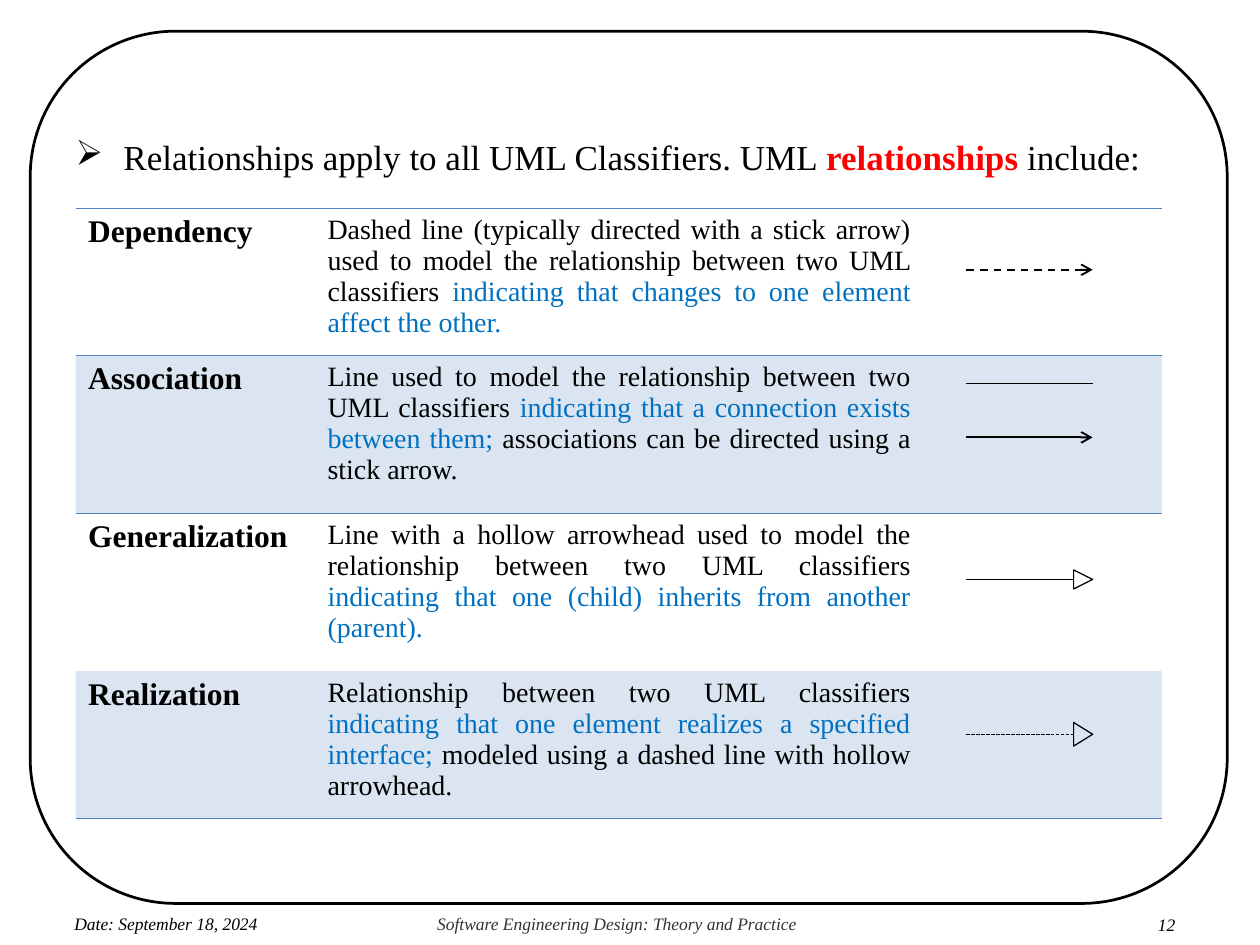
from dataclasses import dataclass
from typing import Optional

import lxml.etree
import pptx
import pptx.dml.color
import pptx.enum.dml
import pptx.enum.shapes
import pptx.enum.text
import pptx.oxml.ns
import pptx.util

FONT = "Times New Roman"
BLACK, RED, BLUE, STEEL, GREY = "000000", "FF0000", "0070C0", "4F81BD", "333333"
NO_STYLE = "{2D5ABB26-0587-4C30-8999-92F81FD0307C}"
DASH = pptx.enum.dml.MSO_LINE
ALIGN = pptx.enum.text.PP_ALIGN

# Percent of the slide's width and height
TABLE_LEFT, TABLE_TOP = 6, 22
COLUMN_WIDTHS = (19, 48.3, 18.9)
ROW_HEIGHTS = (15.6, 16.7, 16.7, 15.6)
# Shares of the symbol column
SYMBOL_START, HEAD_START, SYMBOL_END = 0.18, 0.63, 0.71


@dataclass
class Part:
    text: str
    color: str = BLACK
    bold: bool = False


@dataclass
class Symbol:
    height: float  # share of the row
    width: float = 0.71
    dash: Optional[DASH] = None
    stick_arrow: bool = False
    hollow_head: float = 0  # percent of the slide's height


@dataclass
class Relationship:
    name: str
    description: list[Part]
    symbols: list[Symbol]
    shaded: bool = False


@dataclass
class Footer:
    text: str
    left: float
    top: float
    width: float
    color: str = BLACK
    indent: float = 0


RELATIONSHIPS = [
    Relationship("Dependency", [
        Part("Dashed line (typically directed with a stick arrow) used to model "
             "the relationship between two UML classifiers "),
        Part("indicating that changes to one element affect the other.", BLUE)],
        [Symbol(0.42, 1.1, DASH.DASH, stick_arrow=True)]),
    Relationship("Association", [
        Part("Line used to model the relationship between two UML classifiers "),
        Part("indicating that a connection exists between them;", BLUE),
        Part(" associations can be directed using a stick arrow.")],
        [Symbol(0.18), Symbol(0.52, 1.1, stick_arrow=True)], shaded=True),
    Relationship("Generalization", [
        Part("Line with a hollow arrowhead used to model the relationship "
             "between two UML classifiers "),
        Part("indicating that one (child) inherits from another (parent).", BLUE)],
        [Symbol(0.42, hollow_head=2)]),
    Relationship("Realization", [
        Part("Relationship between two UML classifiers "),
        Part("indicating that one element realizes a specified interface; ", BLUE),
        Part("modeled using a dashed line with hollow arrowhead.")],
        [Symbol(0.43, dash=DASH.SQUARE_DOT, hollow_head=2.5)], shaded=True),
]

FOOTERS = [
    Footer("Date: September 18, 2024", 5.9, 96.7, 15.8),
    Footer("Software Engineering Design: Theory and Practice", 34.7, 96.7, 28.9, GREY),
    Footer("12", 90.8, 96.8, 3.7, indent=0.11),
]

presentation = pptx.Presentation()
presentation.slide_width = pptx.util.Inches(10)
presentation.slide_height = pptx.util.Inches(7.5)


def across(percent: float) -> int:
    return round(presentation.slide_width * percent / 100)


def down(percent: float) -> int:
    return round(presentation.slide_height * percent / 100)


def rgb(color: str) -> pptx.dml.color.RGBColor:
    return pptx.dml.color.RGBColor.from_string(color)


def add_element(parent, tag: str, **attributes: str):
    return lxml.etree.SubElement(parent, pptx.oxml.ns.qn(tag), attributes)


def set_line(line, width: float, dash: Optional[DASH] = None) -> None:
    line.color.rgb = rgb(BLACK)
    line.width = pptx.util.Pt(width)
    if dash is not None:
        line.dash_style = dash


def write(paragraph, parts: list[Part], size: float, italic: bool = False) -> None:
    paragraph.font.name = FONT
    paragraph.font.size = pptx.util.Pt(size)
    paragraph.font.italic = italic
    for part in parts:
        run = paragraph.add_run()
        run.text = part.text
        run.font.color.rgb = rgb(part.color)
        run.font.bold = part.bold


def add_text_box(slide, left: float, top: float, width: float, height: float):
    shape = slide.shapes.add_textbox(across(left), down(top), across(width), down(height))
    frame = shape.text_frame
    frame.word_wrap = True
    frame.margin_left = frame.margin_right = frame.margin_top = frame.margin_bottom = 0
    return frame


def add_outline(slide, preset, left: int, top: int, width: int, height: int, line_width: float):
    shape = slide.shapes.add_shape(preset, left, top, width, height)
    shape.shadow.inherit = False
    shape.fill.background()
    set_line(shape.line, line_width)
    return shape


def add_heading(slide) -> None:
    frame = add_text_box(slide, 5.9, 13.3, 86.3, 5.6)
    frame.margin_top = pptx.util.Inches(0.08)
    paragraph = frame.paragraphs[0]
    properties = paragraph._p.get_or_add_pPr()
    properties.set("marL", str(pptx.util.Inches(0.39)))
    properties.set("indent", str(pptx.util.Inches(-0.38)))
    add_element(add_element(properties, "a:buClr"), "a:srgbClr", val=BLACK)
    add_element(properties, "a:buChar", char="➢")
    paragraph.alignment = ALIGN.JUSTIFY
    write(paragraph, [Part("Relationships apply to all UML Classifiers. UML "),
                      Part("relationships", RED, True), Part(" include:")], 20)


def add_footer(slide, footer: Footer) -> None:
    paragraph = add_text_box(slide, footer.left, footer.top, footer.width, 2.1).paragraphs[0]
    paragraph._p.get_or_add_pPr().set("marL", str(pptx.util.Inches(footer.indent)))
    paragraph.line_spacing = pptx.util.Pt(11.8)
    write(paragraph, [Part(footer.text, footer.color)], 10, italic=True)


def format_cell(cell, shaded: bool, top_rule: bool, bottom_rule: bool) -> None:
    properties = cell._tc.get_or_add_tcPr()
    for tag, ruled in (("a:lnT", top_rule), ("a:lnB", bottom_rule)):
        if ruled:
            rule = add_element(properties, tag, w=str(pptx.util.Pt(0.45)))
            add_element(add_element(rule, "a:solidFill"), "a:srgbClr", val=STEEL)
    if shaded:
        cell.fill.solid()
        cell.fill.fore_color.rgb = rgb(STEEL)
        color = properties.find("a:solidFill/a:srgbClr", properties.nsmap)
        add_element(color, "a:alpha", val="20000")
    else:
        cell.fill.background()


def add_relationship_table(slide) -> None:
    frame = slide.shapes.add_table(
        len(RELATIONSHIPS), len(COLUMN_WIDTHS), across(TABLE_LEFT), down(TABLE_TOP),
        across(sum(COLUMN_WIDTHS)), down(sum(ROW_HEIGHTS)))
    table = frame.table
    table.first_row = table.horz_banding = False
    table._tbl.tblPr.find(pptx.oxml.ns.qn("a:tableStyleId")).text = NO_STYLE
    for column, width in zip(table.columns, COLUMN_WIDTHS):
        column.width = across(width)
    last = len(RELATIONSHIPS) - 1
    for index, (row, item) in enumerate(zip(table.rows, RELATIONSHIPS)):
        row.height = down(ROW_HEIGHTS[index])
        for cell in row.cells:
            format_cell(cell, item.shaded, index < 2, index in (0, last))
        name, description = (row.cells[i].text_frame.paragraphs[0] for i in (0, 1))
        write(name, [Part(item.name, bold=True)], 18)
        description.alignment = ALIGN.JUSTIFY
        write(description, item.description, 16)


def add_symbol(slide, symbol: Symbol, row: int) -> None:
    column_left = TABLE_LEFT + sum(COLUMN_WIDTHS[:2])
    start, head, end = (across(column_left + share * COLUMN_WIDTHS[2])
                        for share in (SYMBOL_START, HEAD_START, SYMBOL_END))
    middle = down(TABLE_TOP + sum(ROW_HEIGHTS[:row]) + symbol.height * ROW_HEIGHTS[row])
    connector = slide.shapes.add_connector(
        pptx.enum.shapes.MSO_CONNECTOR.STRAIGHT,
        start, middle, head if symbol.hollow_head else end, middle)
    set_line(connector.line, symbol.width, symbol.dash)
    if symbol.stick_arrow:
        add_element(connector.line._get_or_add_ln(), "a:tailEnd", type="arrow")
    add_element(connector._element.spPr, "a:effectLst")
    if symbol.hollow_head:
        base, length = down(symbol.hollow_head), end - head
        triangle = add_outline(
            slide, pptx.enum.shapes.MSO_SHAPE.ISOSCELES_TRIANGLE,
            (head + end - base) // 2, middle - length // 2, base, length, symbol.width)
        triangle.rotation = 90


def main() -> None:
    slide = presentation.slides.add_slide(presentation.slide_layouts[6])
    add_outline(slide, pptx.enum.shapes.MSO_SHAPE.ROUNDED_RECTANGLE,
                across(2.4), down(3.3), across(95), down(92.3), 1.56)
    add_heading(slide)
    add_relationship_table(slide)
    for row, item in enumerate(RELATIONSHIPS):
        for symbol in item.symbols:
            add_symbol(slide, symbol, row)
    for footer in FOOTERS:
        add_footer(slide, footer)
    presentation.save("out.pptx")


if __name__ == "__main__":
    main()
